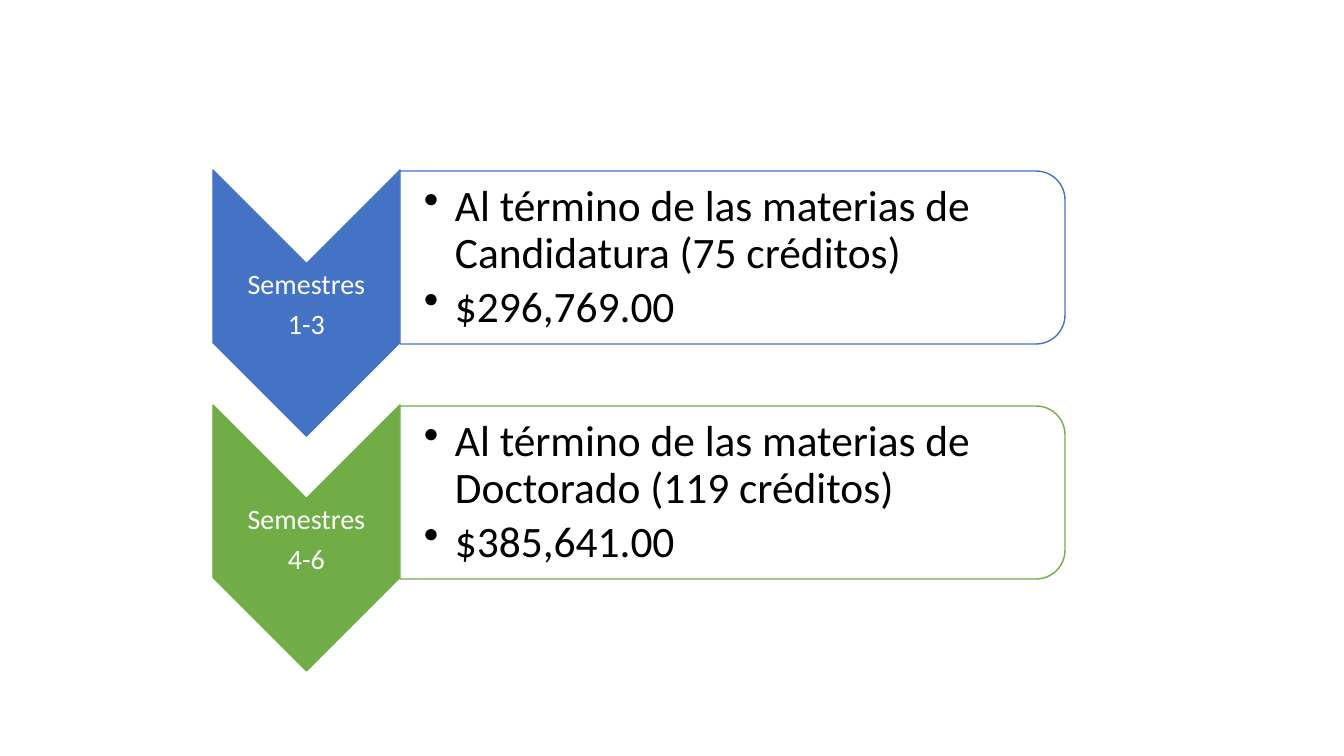
from lxml.etree import SubElement
from pptx import Presentation
from pptx.dml.color import RGBColor
from pptx.enum.shapes import MSO_SHAPE as Shape
from pptx.enum.text import MSO_ANCHOR as Anchor, PP_ALIGN as Align
from pptx.oxml.ns import qn
from pptx.util import Pt

STAGES = [
    ("4472C4", ["Semestres", "1-3"],
     ["Al término de las materias de Candidatura (75 créditos)", "$296,769.00"]),
    ("70AD47", ["Semestres", "4-6"],
     ["Al término de las materias de Doctorado (119 créditos)", "$385,641.00"]),
]
FONT = "Calibri"
LABEL = {"size": 20, "color": "FFFFFF", "after": 7, "align": Align.CENTER}
DETAIL = {"size": 31, "color": "000000", "after": 4.65, "align": Align.LEFT}

# Lengths in px
SLIDE_W, SLIDE_H = 1344, 756
LEFT, TOP, STEP = 213, 170, 235
CHEVRON_W, CHEVRON_H = 187, 266
PANEL_W, PANEL_H = 665, 173
LABEL_TOP, LABEL_H = 95, 80
DETAIL_TOP, DETAIL_W, DETAIL_H = 10, 657, 156
DETAIL_INSET, INDENT = 24, 31


def px(length):
    return round(length * 914400 / 100.8)


def rgb(color):
    return RGBColor.from_string(color)


def add_turned(shapes, kind, left, top, width, height, fill, line):
    """Add a shape turned by 90 degrees that shows in the given box."""
    shift = (width - height) / 2
    turned = shapes.add_shape(kind, px(left + shift), px(top - shift), px(height), px(width))
    turned.rotation = 90
    turned.shadow.inherit = False
    turned.fill.solid()
    turned.fill.fore_color.rgb = rgb(fill)
    turned.line.color.rgb = rgb(line)
    turned.line.width = Pt(1)
    return turned


def add_text(shapes, box, lines, style, inset_left, inset, bulleted=False):
    frame = shapes.add_textbox(*map(px, box)).text_frame
    margins = {"margin_left": inset_left, "margin_right": inset,
               "margin_top": inset, "margin_bottom": inset}
    for name, value in margins.items():
        setattr(frame, name, px(value))
    frame.word_wrap = True
    frame.vertical_anchor = Anchor.MIDDLE
    for index, line in enumerate(lines):
        paragraph = frame.add_paragraph() if index else frame.paragraphs[0]
        if bulleted:
            paragraph.level = 1
            props = paragraph._p.get_or_add_pPr()
            props.set("marL", str(px(INDENT)))
            props.set("indent", str(-px(INDENT)))
            SubElement(props, qn("a:buChar"), char="•")
        paragraph.alignment = style["align"]
        paragraph.line_spacing = 0.9
        paragraph.space_after = Pt(style["after"])
        run = paragraph.add_run()
        run.text = line
        run.font.name = FONT
        run.font.size = Pt(style["size"])
        run.font.color.rgb = rgb(style["color"])


def main():
    deck = Presentation()
    deck.slide_width, deck.slide_height = px(SLIDE_W), px(SLIDE_H)
    shapes = deck.slides.add_slide(deck.slide_layouts[6]).shapes
    panel_left = LEFT + CHEVRON_W
    for index, (color, label, details) in enumerate(STAGES):
        top = TOP + index * STEP
        add_turned(shapes, Shape.CHEVRON, LEFT, top, CHEVRON_W, CHEVRON_H, color, color)
        add_text(shapes, (LEFT, top + LABEL_TOP, CHEVRON_W, LABEL_H), label, LABEL, 1, 1)
        panel = add_turned(shapes, Shape.ROUND_2_SAME_RECTANGLE, panel_left, top + 1,
                           PANEL_W, PANEL_H, "FFFFFF", color)
        panel_fill = panel._element.spPr.find(qn("a:solidFill"))
        SubElement(panel_fill[0], qn("a:alpha"), val="90000")
        add_text(shapes, (panel_left, top + DETAIL_TOP, DETAIL_W, DETAIL_H), details,
                 DETAIL, DETAIL_INSET, 2, bulleted=True)
    deck.save("out.pptx")


if __name__ == "__main__":
    main()
